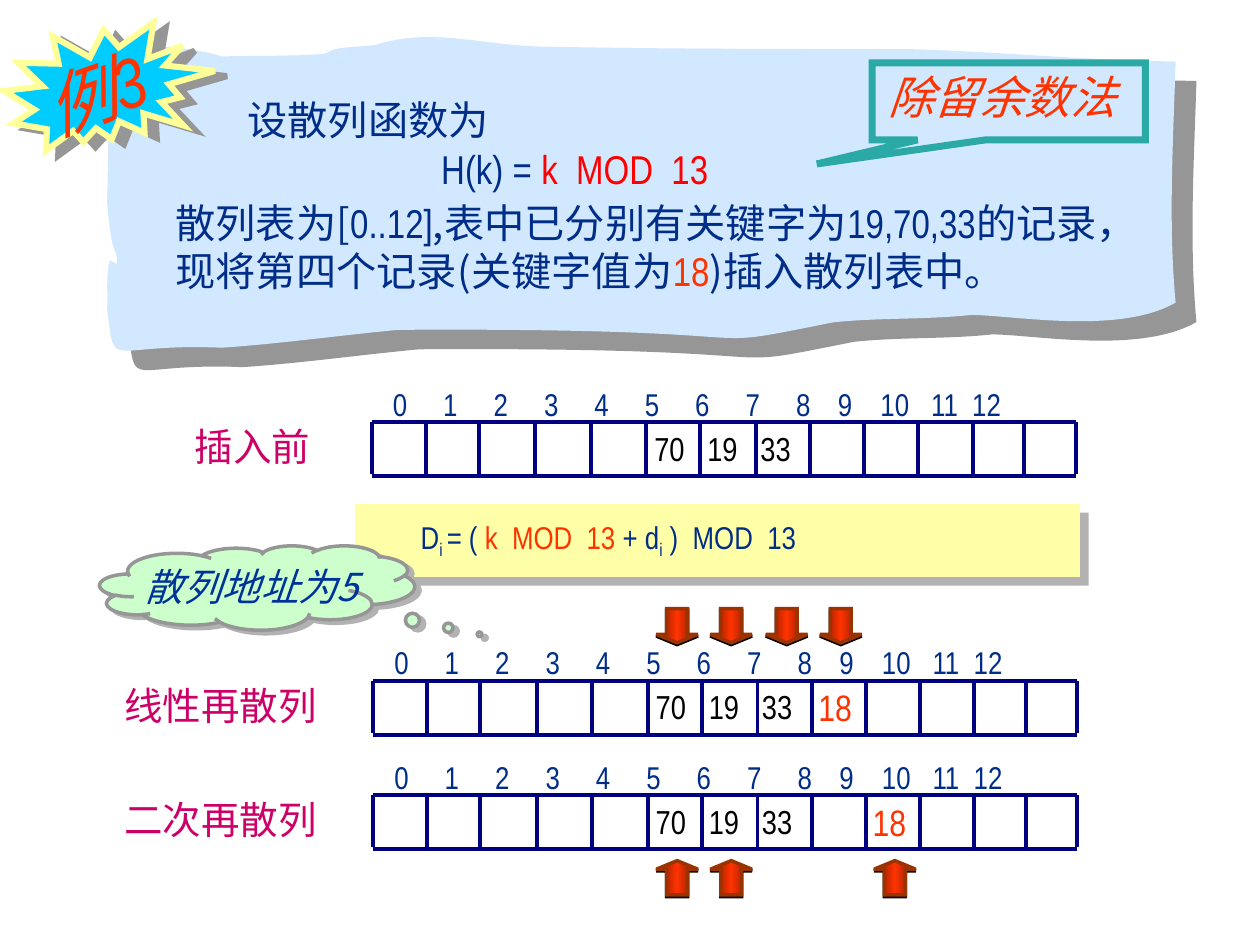
from lxml.etree import SubElement
from copy import deepcopy
from pptx import Presentation
from pptx.dml.color import RGBColor
from pptx.enum.shapes import MSO_CONNECTOR, MSO_SHAPE as Preset
from pptx.enum.text import MSO_ANCHOR, MSO_AUTO_SIZE, PP_ALIGN
from pptx.oxml.ns import qn
from pptx.util import Cm, Pt

LATIN, CJK = "Arial Narrow", "Noto Sans CJK SC"
NAVY, ORANGE, MAGENTA = "002D88", "FF3300", "CC0066"
ROW_HEIGHT, GRID_LEFT = 1.09, 7.52
CELL_EDGES = (0, 1.09, 2.16, 3.3, 4.42, 5.54, 6.63, 7.75, 8.84, 9.93, 11.02, 12.12, 13.16, 14.2)
INDEX_STOPS = [1.016 * n for n in range(1, 9)] + [8.97, 9.83, 10.85, 11.68]
PANEL_START = (2.77, 0.91)
PANEL_CURVES = [
    (3.35, 0.94, 3.94, 0.97, 4.47, 1.14), (5.16, 1.12, 5.82, 1.14, 6.48, 1.09),
    (6.58, 1.09, 6.65, 1.02, 6.76, 0.99), (7.01, 0.94, 7.29, 0.94, 7.57, 0.91),
    (8.69, 0.53, 9.83, 0.94, 10.97, 0.94), (13.41, 0.99, 15.85, 0.99, 18.29, 0.99),
    (20.12, 1.04, 21.89, 1.22, 23.7, 1.24), (23.65, 2.87, 23.55, 4.5, 23.7, 6.1),
    (22.56, 6.76, 20.4, 6.35, 19.58, 6.35), (18.64, 6.45, 17.73, 6.4, 16.79, 6.5),
    (13.59, 7.14, 16.46, 6.6, 8.03, 6.65), (6.86, 6.76, 5.66, 6.93, 4.47, 7.01),
    (2.11, 6.91, 2.34, 7.52, 2.16, 6.25), (2.18, 5.92, 2.13, 5.59, 2.21, 5.26),
    (2.21, 5.21, 2.36, 5.36, 2.36, 5.31), (2.39, 5.16, 2.29, 5.03, 2.26, 4.88),
    (2.21, 4.6, 2.18, 4.34, 2.16, 4.06), (2.18, 3.38, 2.18, 2.69, 2.21, 1.98),
    (2.24, 1.65, 2.41, 1.32, 2.41, 0.99),
]


def color(hex_code):
    """Turn a hex string into a colour."""
    return RGBColor.from_string(hex_code)


def cast(effects, hex_code, distance, angle):
    """Put a hard offset shadow into an effect list."""
    shadow = SubElement(effects, qn("a:outerShdw"), blurRad="0", dist=str(Pt(distance)),
                        dir=str(angle * 60000), algn="ctr", rotWithShape="0")
    SubElement(shadow, qn("a:srgbClr"), val=hex_code)


def add_shadow(shape, hex_code, distance, angle):
    """Give a shape a hard offset shadow."""
    shape.shadow.inherit = False
    cast(shape._element.spPr.find(qn("a:effectLst")), hex_code, distance, angle)


def paint(shape, fill=None, line=None, width=1):
    """Set a shape's fill and mitred outline, without shadow."""
    shape.shadow.inherit = False
    if fill:
        shape.fill.solid()
        shape.fill.fore_color.rgb = color(fill)
    else:
        shape.fill.background()
    if line:
        shape.line.color.rgb = color(line)
        shape.line.width = Pt(width)
        SubElement(shape._element.spPr.find(qn("a:ln")), qn("a:miter"), lim="800000")
    else:
        shape.line.fill.background()


def add_preset(slide, preset, box, adjustments=(), **style):
    """Add a painted preset shape."""
    shape = slide.shapes.add_shape(preset, *map(Cm, box))
    for number, value in enumerate(adjustments):
        shape.adjustments[number] = value
    paint(shape, **style)
    return shape


def add_run(paragraph, text, size, hex_code=NAVY, italic=False, baseline=0, face=LATIN,
            shade=None):
    """Append one formatted run, with a text shadow if a shade is given."""
    run = paragraph.add_run()
    run.text = text
    font = run.font
    font.size, font.name, font.italic, font.bold = Pt(size), face, italic, False
    font.color.rgb = color(hex_code)
    properties = run._r.get_or_add_rPr()
    latin = properties.find(qn("a:latin"))
    east_asian = deepcopy(latin)
    east_asian.tag = qn("a:ea")
    east_asian.set("typeface", CJK)
    latin.addnext(east_asian)
    if shade:
        effects = SubElement(properties, qn("a:effectLst"))
        cast(effects, shade, 2, 45)
        latin.addprevious(effects)
    if baseline:
        properties.set("baseline", str(baseline * 1000))


def add_label(slide, box, runs, size, stops=(), **style):
    """Add a one-paragraph text box with optional tab stops in cm."""
    label = slide.shapes.add_textbox(*map(Cm, box))
    label.text_frame.word_wrap = True
    paragraph = label.text_frame.paragraphs[0]
    if stops:
        tabs = SubElement(paragraph._p.get_or_add_pPr(), qn("a:tabLst"))
        for stop in stops:
            SubElement(tabs, qn("a:tab"), pos=str(Cm(stop)), algn="l")
    for text, options in runs:
        add_run(paragraph, text, size, **{**style, **options})
    return label


def place_placeholder(slide, placeholder, box):
    """Move a placeholder to its box and above what is already drawn."""
    placeholder.left, placeholder.top, placeholder.width, placeholder.height = map(Cm, box)
    frame = placeholder.text_frame
    frame.word_wrap, frame.auto_size = True, MSO_AUTO_SIZE.NONE
    frame.vertical_anchor = MSO_ANCHOR.TOP
    slide.shapes._spTree.append(placeholder._element)
    return frame


def add_panel(slide):
    """Draw the torn-paper panel, joining each three points into a curve."""
    points = [(Cm(curve[n]), Cm(curve[n + 1])) for curve in PANEL_CURVES for n in (0, 2, 4)]
    builder = slide.shapes.build_freeform(*map(Cm, PANEL_START))
    builder.add_line_segments(points, close=True)
    panel = builder.convert_to_shape()
    outline = panel._element.spPr.find(".//" + qn("a:path"))
    segments = outline.findall(qn("a:lnTo"))
    for first, second, last in zip(segments[::3], segments[1::3], segments[2::3]):
        first.tag = qn("a:cubicBezTo")
        for segment in (second, last):
            first.append(segment[0])
            outline.remove(segment)
    paint(panel, fill="D1E8FF")
    add_shadow(panel, "969696", 16.3, 43)


def add_problem(slide):
    """Fill the title and the problem statement."""
    statement = place_placeholder(slide, slide.placeholders[1], (3.28, 1.8, 19.81, 4.29))
    parts = [
        (1.45, [("设散列函数为", {})]),
        (5.36, [("H(k) = ", {}), ("k  MOD  13", {"hex_code": "FF0000"})]),
        (0, [("散列表为[", {"face": CJK}), ("0..12]", {}),
             (",表中已分别有关键字为", {"face": CJK}), ("19,70,33", {}),
             ("的记录，现将第四个记录(关键字值为", {"face": CJK}),
             ("18", {"hex_code": ORANGE}), (")插入散列表中。", {"face": CJK})]),
    ]
    for number, (indent, runs) in enumerate(parts):
        paragraph = statement.add_paragraph() if number else statement.paragraphs[0]
        properties = paragraph._p.get_or_add_pPr()
        properties.set("marL", "0")
        properties.set("indent", str(Cm(indent)))
        SubElement(properties, qn("a:buNone"))
        paragraph.space_before = Pt(0)
        paragraph.space_after = Pt(3.5 if number == 1 else 0)
        for text, options in runs:
            add_run(paragraph, text, 23, **options)
    add_preset(slide, Preset.RECTANGULAR_CALLOUT, (17.58, 1.27, 5.51, 1.55),
               (-0.702, 0.814), line="2AA9A6", width=4)
    method = place_placeholder(slide, slide.shapes.title, (17.65, 1.27, 6.35, 1.35))
    method.paragraphs[0].alignment = PP_ALIGN.LEFT
    add_run(method.paragraphs[0], "除留余数法", 26, ORANGE, italic=True, shade="FFFFFF")


def add_rule(slide, *ends):
    """Draw one navy grid line."""
    rule = slide.shapes.add_connector(MSO_CONNECTOR.STRAIGHT, *map(Cm, ends))
    rule.line.color.rgb = color("000080")
    rule.line.width = Pt(2.25)
    SubElement(rule._element.spPr, qn("a:effectLst"))


def add_hash_row(slide, caption, caption_left, top, left=GRID_LEFT, inserted_slot=None):
    """Draw a captioned hash table with its indices and keys."""
    for y in (top, top + ROW_HEIGHT):
        add_rule(slide, left, y, left + CELL_EDGES[-1], y)
    for edge in CELL_EDGES:
        add_rule(slide, left + edge, top, left + edge, top + 1.05)
    add_label(slide, (caption_left, top - 0.1, 5.2, 1.19), [(caption, {})], 22, hex_code=MAGENTA)
    indices = "\t".join(map(str, range(len(CELL_EDGES) - 1)))
    add_label(slide, (left + 0.18, top - 0.88, 14.17, 1.02), [(indices, {})], 18, INDEX_STOPS)
    add_label(slide, (left + 5.45, top, 3.53, 1.07), [("70\t19\t33", {})], 19,
              (1.07, 2.14), hex_code="000000")
    if inserted_slot is not None:
        add_label(slide, (left + CELL_EDGES[inserted_slot] - 0.11, top - 0.04, 1.24, 1.14),
                  [("18", {})], 21, hex_code=ORANGE)


def add_probes(slide, slots, top, rotation=0):
    """Point an arrow at each probed slot."""
    for slot in slots:
        probe = add_preset(slide, Preset.DOWN_ARROW,
                           (GRID_LEFT + CELL_EDGES[slot] + 0.17, top, 0.84, 0.69),
                           (0.5, 0.25), line="993300", width=2)
        probe.rotation = rotation
        probe.fill.gradient()
        probe.fill.gradient_angle = 0
        first_stop = probe._element.spPr.find(".//" + qn("a:gs"))
        first_stop.addnext(deepcopy(first_stop))
        shades = (0, "761800"), (0.5, ORANGE), (1, "761800")
        for stop, (position, shade) in zip(probe.fill.gradient_stops, shades):
            stop.position, stop.color.rgb = position, color(shade)
        add_shadow(probe, "000000", 1, 90)


def add_formula(slide):
    """Draw the rehash formula on its yellow band."""
    band = add_preset(slide, Preset.RECTANGLE, (7.16, 10.16, 14.61, 1.47), fill="FFFFA7")
    add_shadow(band, "B2B2B2", 7.1, 45)
    add_label(slide, (8.23, 10.31, 14.1, 1.27), [
        ("D", {}), ("i ", {"baseline": -25}), ("= ( ", {}), ("k  MOD  13", {"hex_code": ORANGE}),
        (" + d", {}), ("i", {"baseline": -25}), (" )  MOD  13", {})], 18)


def add_address_cloud(slide):
    """Draw the thought cloud with the hash address."""
    cloud = add_preset(slide, Preset.CLOUD_CALLOUT, (2.01, 11, 6.35, 1.7), (0.706, 0.552),
                       fill="CCFFCC", line="969696", width=2)
    add_shadow(cloud, "B2B2B2", 3.6, 34)
    add_label(slide, (2.67, 11.23, 6.2, 1.19), [("散列地址为5", {})], 22,
              hex_code="003399", italic=True, face=CJK)


def add_example_badge(slide):
    """Draw the starburst with the example number."""
    burst = add_preset(slide, Preset.EXPLOSION2, (0.1, 0.38, 4.19, 2.77),
                       fill="00CCFF", line="FFFF99", width=3.5)
    burst.rotation = 5.4
    add_shadow(burst, "969696", 7.6, 23)
    number = add_label(slide, (0.61, 0.69, 3.78, 1.96), [("例", {"face": CJK}), ("3", {})], 40,
                       hex_code=ORANGE, italic=True, shade="000080")
    number.rotation = 340.5


def main():
    """Build the slide and save it."""
    deck = Presentation()
    deck.slide_width, deck.slide_height = Cm(25.4), Cm(19.05)
    slide = deck.slides.add_slide(deck.slide_layouts[1])
    add_panel(slide)
    add_problem(slide)
    add_hash_row(slide, "插入前", 3.68, 8.51, left=7.49)
    add_formula(slide)
    add_hash_row(slide, "线性再散列", 2.26, 13.72, inserted_slot=8)
    add_probes(slide, (5, 6, 7, 8), 12.27)
    add_address_cloud(slide)
    add_hash_row(slide, "二次再散列", 2.26, 16.03, inserted_slot=9)
    add_probes(slide, (5, 6, 9), 17.35, 180)
    add_example_badge(slide)
    deck.save("out.pptx")


if __name__ == "__main__":
    main()
